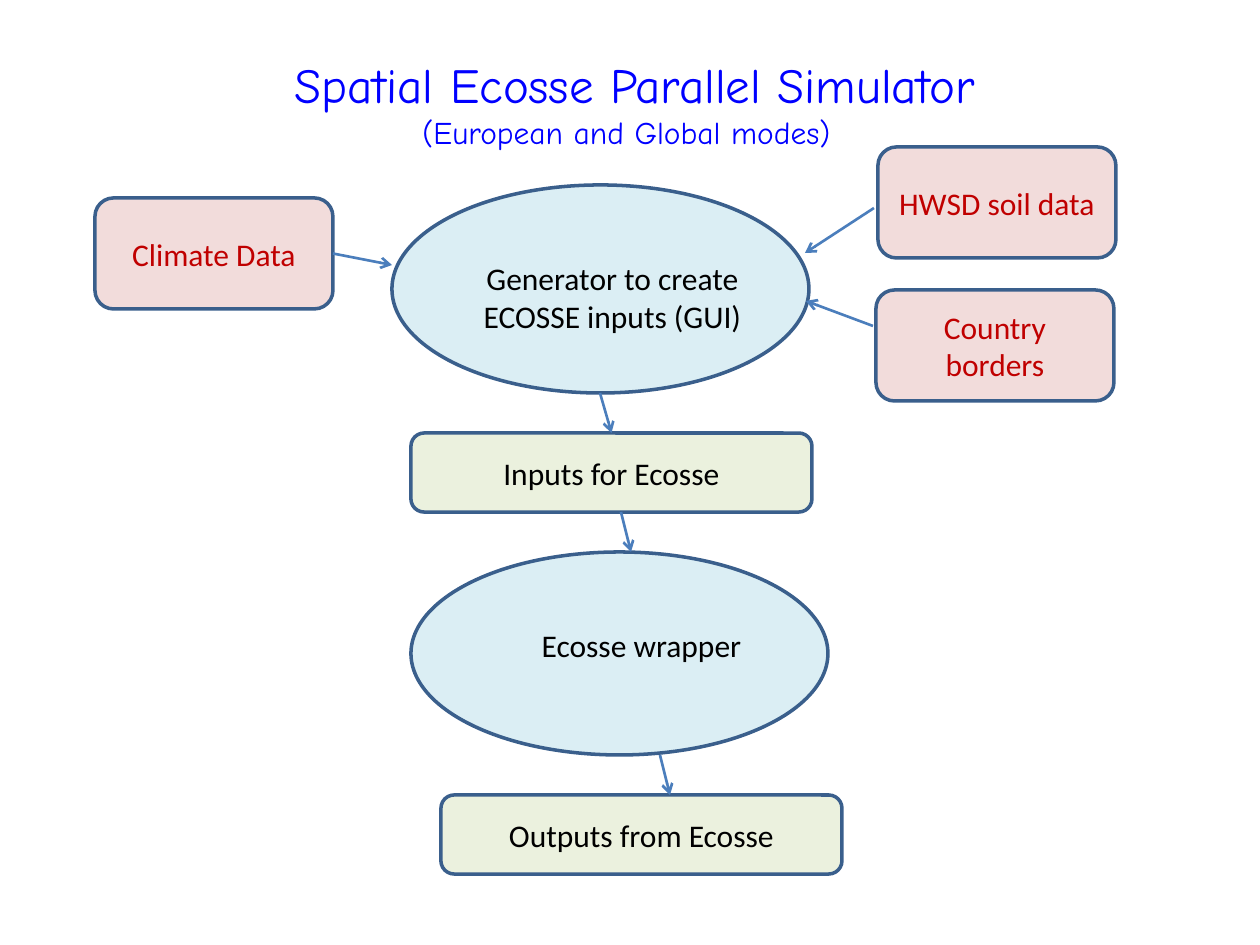
from dataclasses import dataclass

from lxml.etree import SubElement
from pptx import Presentation
from pptx.dml.color import RGBColor
from pptx.enum.shapes import MSO_CONNECTOR as Connector, MSO_SHAPE as Shape
from pptx.enum.text import MSO_ANCHOR as Anchor, PP_ALIGN as Align
from pptx.oxml.ns import qn
from pptx.util import Pt

PX = 914400 / 126  # EMU in one pixel
SOURCE_SIZE = (238, 111)
FILE_SIZE = (401, 79)
TOP, RIGHT = 0, 3  # connection sites of a rectangle


@dataclass(frozen=True)
class Theme:
    body_font: str = "Calibri"
    title_font: str = "Comic Neue"
    title_size: int = 28
    body_size: int = 18
    title: str = "0000FF"
    text: str = "000000"
    source_text: str = "C00000"
    source_fill: str = "F2DCDB"
    process_fill: str = "DBEEF4"
    file_fill: str = "EBF1DE"
    outline: str = "3A5F8C"
    arrow: str = "4B7EBC"
    outline_width: float = 2
    arrow_width: float = 1.5


THEME = Theme()


def px(*lengths):
    return [round(length * PX) for length in lengths]


def set_font(font, name, size, color):
    font.name, font.size = name, Pt(size)
    font.color.rgb = RGBColor.from_string(color)


def write_label(shape, text, color=THEME.text):
    frame = shape.text_frame
    frame.word_wrap = True
    paragraph = frame.paragraphs[0]
    paragraph.text = text
    paragraph.alignment = Align.CENTER
    set_font(paragraph.font, THEME.body_font, THEME.body_size, color)


def add_outlined(slide, kind, box, fill):
    shape = slide.shapes.add_shape(kind, *px(*box))
    shape.shadow.inherit = False
    shape.fill.solid()
    shape.fill.fore_color.rgb = RGBColor.from_string(fill)
    shape.line.color.rgb = RGBColor.from_string(THEME.outline)
    shape.line.width = Pt(THEME.outline_width)
    return shape


def add_title(slide, box, title, subtitle):
    frame = slide.shapes.add_textbox(*px(*box)).text_frame
    frame.word_wrap = True
    frame.vertical_anchor = Anchor.MIDDLE
    paragraph = frame.paragraphs[0]
    paragraph.alignment = Align.CENTER
    heading = paragraph.add_run()
    heading.text = title
    set_font(heading.font, THEME.title_font, THEME.title_size, THEME.title)
    paragraph.add_line_break()
    subheading = paragraph.add_run()
    subheading.text = subtitle
    set_font(subheading.font, THEME.title_font, THEME.body_size, THEME.title)


def add_process(slide, box, text, label_box):
    """Ellipse with a label box placed relative to its top left corner."""
    left, top, _, _ = box
    add_outlined(slide, Shape.OVAL, box, THEME.process_fill)
    x, y, width, height = label_box
    label = slide.shapes.add_textbox(*px(left + x, top + y, width, height))
    write_label(label, text)


def add_card(slide, box, text, fill, color):
    card = add_outlined(slide, Shape.ROUNDED_RECTANGLE, box, fill)
    card.text_frame.vertical_anchor = Anchor.MIDDLE
    write_label(card, text, color)
    return card


def add_source(slide, left, top, text):
    return add_card(slide, (left, top, *SOURCE_SIZE), text,
                    THEME.source_fill, THEME.source_text)


def add_file(slide, left, top, text):
    return add_card(slide, (left, top, *FILE_SIZE), text,
                    THEME.file_fill, THEME.text)


def add_arrow(slide, start, end):
    arrow = slide.shapes.add_connector(Connector.STRAIGHT, *px(*start, *end))
    arrow.line.color.rgb = RGBColor.from_string(THEME.arrow)
    arrow.line.width = Pt(THEME.arrow_width)
    SubElement(arrow.line._get_or_add_ln(), qn("a:tailEnd"), type="arrow")
    SubElement(arrow._element.spPr, qn("a:effectLst"))
    return arrow


def build_slide(presentation):
    slide = presentation.slides.add_slide(presentation.slide_layouts[6])
    add_title(slide, (91, 37, 1071, 131),
              " Spatial Ecosse Parallel Simulator", "(European and Global modes)")

    # Processes
    add_process(slide, (392, 185, 417, 208),
                "Generator to create ECOSSE inputs (GUI)", (44, 68, 353, 89))
    add_process(slide, (411, 552, 417, 203), "Ecosse wrapper", (54, 68, 353, 50))

    # Data sources
    climate = add_source(slide, 95, 198, "Climate Data")
    add_source(slide, 876, 290, "Country borders")
    add_source(slide, 878, 147, "HWSD soil data")

    # Files passed between the processes
    inputs = add_file(slide, 411, 433, "Inputs for Ecosse")
    add_file(slide, 441, 795, "Outputs from Ecosse")

    # Arrows from the sources to the generator
    add_arrow(slide, (333, 253), (392, 265)).begin_connect(climate, RIGHT)
    add_arrow(slide, (873, 326), (806, 301))
    add_arrow(slide, (874, 208), (805, 253))

    # Arrows down the main flow
    add_arrow(slide, (600, 393), (610, 433)).end_connect(inputs, TOP)
    add_arrow(slide, (621, 512), (631, 552))
    add_arrow(slide, (660, 755), (670, 795))


def main():
    presentation = Presentation()
    presentation.slide_width, presentation.slide_height = px(1260, 945)
    build_slide(presentation)
    presentation.save("out.pptx")


if __name__ == "__main__":
    main()
